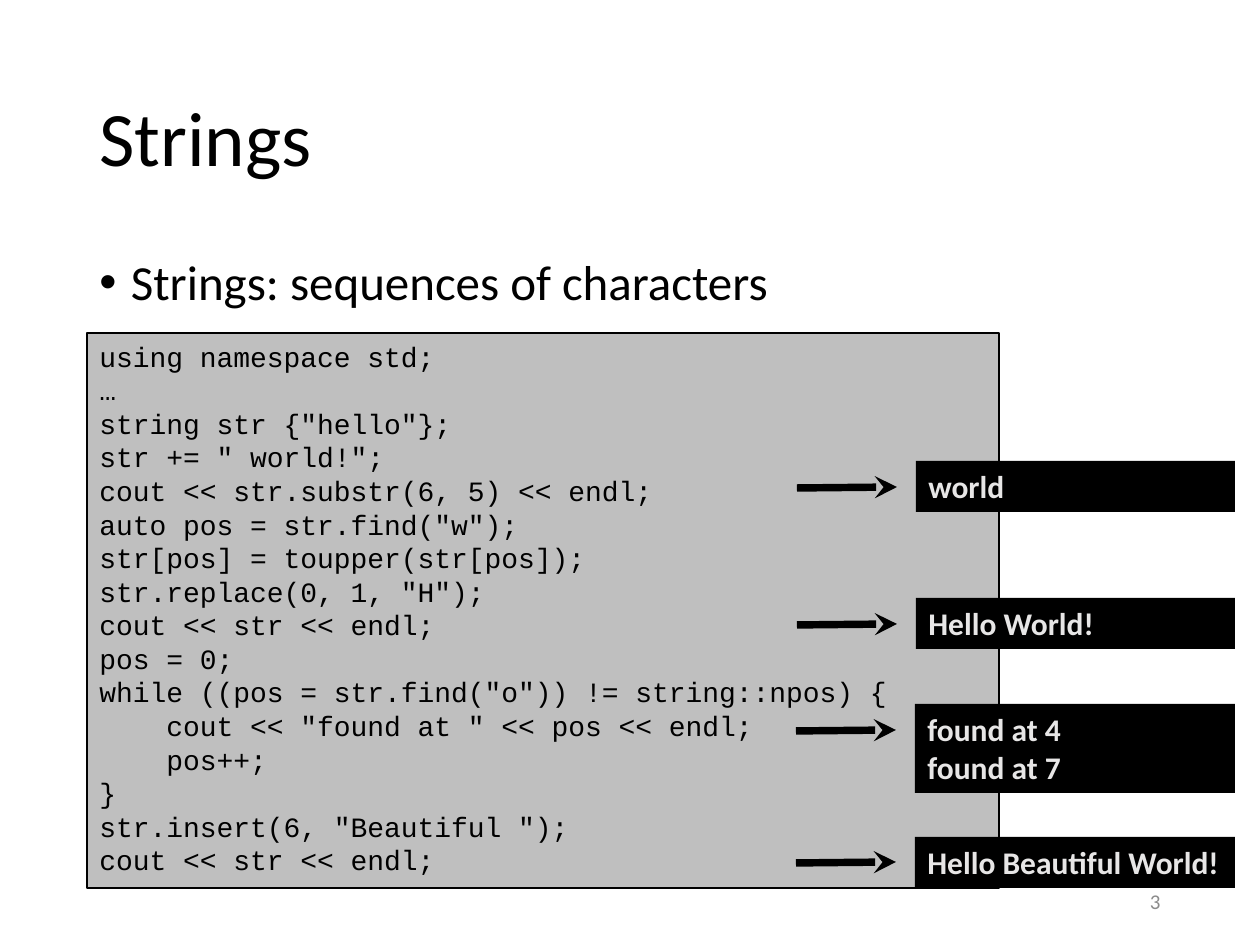
from lxml import etree
from pptx import Presentation
from pptx import util as u
from pptx.dml.color import RGBColor
from pptx.enum import shapes, text
from pptx.oxml.ns import qn

PIXEL = 914400 // 126
COLORS = {"black": "000000", "panel": "BFBFBF", "output": "E7E6E6", "number": "8C8C8C"}

presentation = Presentation()
presentation.slide_width = u.Inches(10)
presentation.slide_height = u.Inches(7.5)
slide = presentation.slides.add_slide(presentation.slide_layouts[6])


def add_text(box, lines, size, color="black", fill=None, font="Calibri", bold=False, frame_format={}, paragraph_format={}):
    shape = slide.shapes.add_textbox(*[value * PIXEL for value in box])
    if fill:
        shape.fill.solid()
        shape.fill.fore_color.rgb = RGBColor.from_string(COLORS[fill])
    frame = shape.text_frame
    for name, value in {"word_wrap": True, **frame_format}.items():
        setattr(frame, name, value)
    frame.text = "\n".join(lines)
    for paragraph in frame.paragraphs:
        for name, value in paragraph_format.items():
            setattr(paragraph, name, value)
        for name, value in {"name": font, "size": u.Pt(size), "bold": bold}.items():
            setattr(paragraph.font, name, value)
        paragraph.font.color.rgb = RGBColor.from_string(COLORS[color])
    return shape


def add_arrow(left, top, right):
    arrow = slide.shapes.add_connector(
        shapes.MSO_CONNECTOR.STRAIGHT, left * PIXEL, top * PIXEL, right * PIXEL, (top - 1) * PIXEL)
    arrow.line.width = u.Pt(4.25)
    arrow.line.color.rgb = RGBColor.from_string(COLORS["black"])
    etree.SubElement(arrow.line._get_or_add_ln(), qn("a:tailEnd"), type="stealth")
    etree.SubElement(arrow._element.spPr, qn("a:effectLst"))


middle = {"vertical_anchor": text.MSO_ANCHOR.MIDDLE}
add_text((87, 50, 1086, 183), ["Strings"], 44, frame_format=middle, paragraph_format={"line_spacing": 0.9})

body = add_text((87, 252, 1086, 600), ["Strings: sequences of characters"], 28,
                paragraph_format={"line_spacing": 0.9, "space_before": u.Pt(10)})
bullet_format = body.text_frame.paragraphs[0]._p.get_or_add_pPr()
bullet_format.set("marL", str(u.Inches(0.25)))
bullet_format.set("indent", str(-u.Inches(0.25)))
bullet_font = etree.Element(qn("a:buFont"), typeface="Arial")
bullet = etree.Element(qn("a:buChar"), char="•")
bullet_format.find(qn("a:spcBef")).addnext(bullet_font)
bullet_font.addnext(bullet)

add_text((890, 876, 283, 50), ["3"], 12, "number", frame_format=middle,
         paragraph_format={"alignment": text.PP_ALIGN.RIGHT})

code_lines = [
    "using namespace std;",
    "…",
    'string str {"hello"};',
    'str += " world!";',
    "cout << str.substr(6, 5) << endl;",
    'auto pos = str.find("w");',
    "str[pos] = toupper(str[pos]);",
    'str.replace(0, 1, "H");',
    "cout << str << endl;",
    "pos = 0;",
    'while ((pos = str.find("o")) != string::npos) {',
    'cout << "found at " << pos << endl;',
    "pos++;",
    "}",
    'str.insert(6, "Beautiful ");',
    "cout << str << endl;",
]
code = add_text((87, 333, 912, 555), code_lines, 16, fill="panel", font="Courier New")
code.line.width = u.Pt(0.75)
code.line.color.rgb = RGBColor.from_string(COLORS["black"])
loop_start = code_lines.index("pos = 0;") + 2
for paragraph in code.text_frame.paragraphs[loop_start:loop_start + 2]:
    paragraph._p.get_or_add_pPr().set("marL", str(67 * PIXEL))

outputs = [
    (916, 461, 51, 488, ["world"]),
    (916, 598, 51, 625, ["Hello World!"]),
    (915, 704, 89, 731, ["found at 4", "found at 7"]),
    (915, 837, 51, 863, ["Hello Beautiful World!"]),
]
for left, top, height, arrow_top, lines in outputs:
    add_arrow(left - 119, arrow_top, left - 19)
    add_text((left, top, 1235 - left, height), lines, 18, "output", "black", bold=True,
             frame_format={"word_wrap": len(lines[0]) < 20})

presentation.save("out.pptx")
